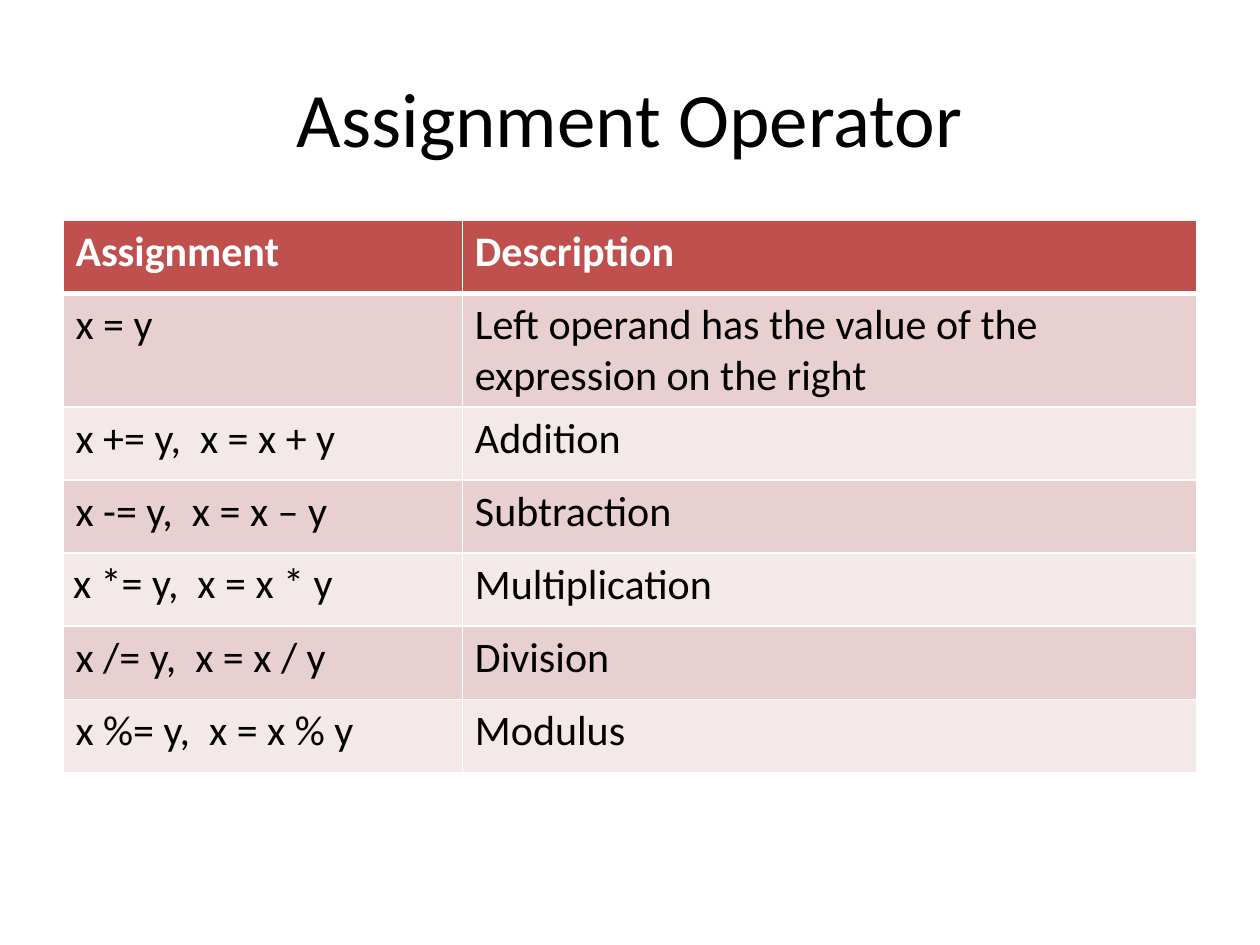
from lxml import etree
from pptx import Presentation
from pptx import util as u
from pptx.dml.color import RGBColor
from pptx.enum import text
from pptx.oxml.ns import qn

COLORS = {"ink": "000000", "white": "FFFFFF", "header": "C0504D",
          "odd": "E8D0D0", "even": "F4E9E9"}
ROWS = [
    ("Assignment", "Description"),
    ("x = y", "Left operand has the value of the expression on the right"),
    ("x += y,  x = x + y", "Addition"),
    ("x -= y,  x = x – y", "Subtraction"),
    ("x *= y,  x = x * y", "Multiplication"),
    ("x /= y,  x = x / y", "Division"),
    ("x %= y,  x = x % y", "Modulus"),
]
TIGHT_CELL = (4, 0)


class SlideBuilder:
    """Holds the style and the current slide."""

    font = "Calibri"

    def __init__(self, slide):
        """Keep the slide to draw on."""
        self.slide = slide

    def add_words(self, frame, words, size, color="ink", bold=False, align=None):
        """Put one styled paragraph in a text frame."""
        para = frame.paragraphs[0]
        para.alignment = align
        span = para.add_run()
        span.text = words
        style = {"name": self.font, "size": u.Pt(size), "bold": bold}
        for name, value in style.items():
            setattr(span.font, name, value)
        span.font.color.rgb = RGBColor.from_string(COLORS[color])

    def title(self, words, left, top, width, height):
        """Add the centred heading."""
        area = [u.Inches(n) for n in (left, top, width, height)]
        frame = self.slide.shapes.add_textbox(*area).text_frame
        frame.word_wrap = True
        frame.vertical_anchor = text.MSO_ANCHOR.MIDDLE
        self.add_words(frame, words, 44, align=text.PP_ALIGN.CENTER)

    def borders(self, cell, widths):
        """Draw white cell edges with the given widths in points."""
        props = cell._tc.get_or_add_tcPr()
        for side, width in widths.items():
            line = etree.SubElement(props, qn("a:ln" + side), w=str(u.Pt(width)))
            fill = etree.SubElement(line, qn("a:solidFill"))
            etree.SubElement(fill, qn("a:srgbClr"), val=COLORS["white"])

    def table(self, rows, left, top, widths, row_height):
        """Add a banded table with a header row."""
        area = [u.Inches(n) for n in (left, top, sum(widths), row_height * len(rows))]
        table = self.slide.shapes.add_table(len(rows), len(widths), *area).table
        for column, width in zip(table.columns, widths):
            column.width = u.Inches(width)
        for r, row in enumerate(rows):
            table.rows[r].height = u.Inches(row_height)
            header = r == 0
            band = "header" if header else ("even", "odd")[r % 2]
            for c, words in enumerate(row):
                cell = table.cell(r, c)
                self.borders(cell, {"L": 1, "R": 1, "T": 3 if r == 1 else 1,
                                    "B": 3 if header else 1})
                cell.fill.solid()
                cell.fill.fore_color.rgb = RGBColor.from_string(COLORS[band])
                self.add_words(cell.text_frame, words, 24,
                               "white" if header else "ink", bold=header)
        return table


def main():
    """Build and save the deck."""
    deck = Presentation()
    deck.slide_width, deck.slide_height = u.Inches(10), u.Inches(7.5)
    page = SlideBuilder(deck.slides.add_slide(deck.slide_layouts[6]))
    page.title("Assignment Operator", 0.5, 0.3, 9, 1.25)
    table = page.table(ROWS, 0.5, 1.75, (3.17, 5.83), 0.58)
    margins = {"margin_left": 0.08, "margin_top": 0.04,
               "margin_right": 0.04, "margin_bottom": 0.04}
    for name, value in margins.items():
        setattr(table.cell(*TIGHT_CELL), name, u.Inches(value))
    deck.save("out.pptx")


main()
